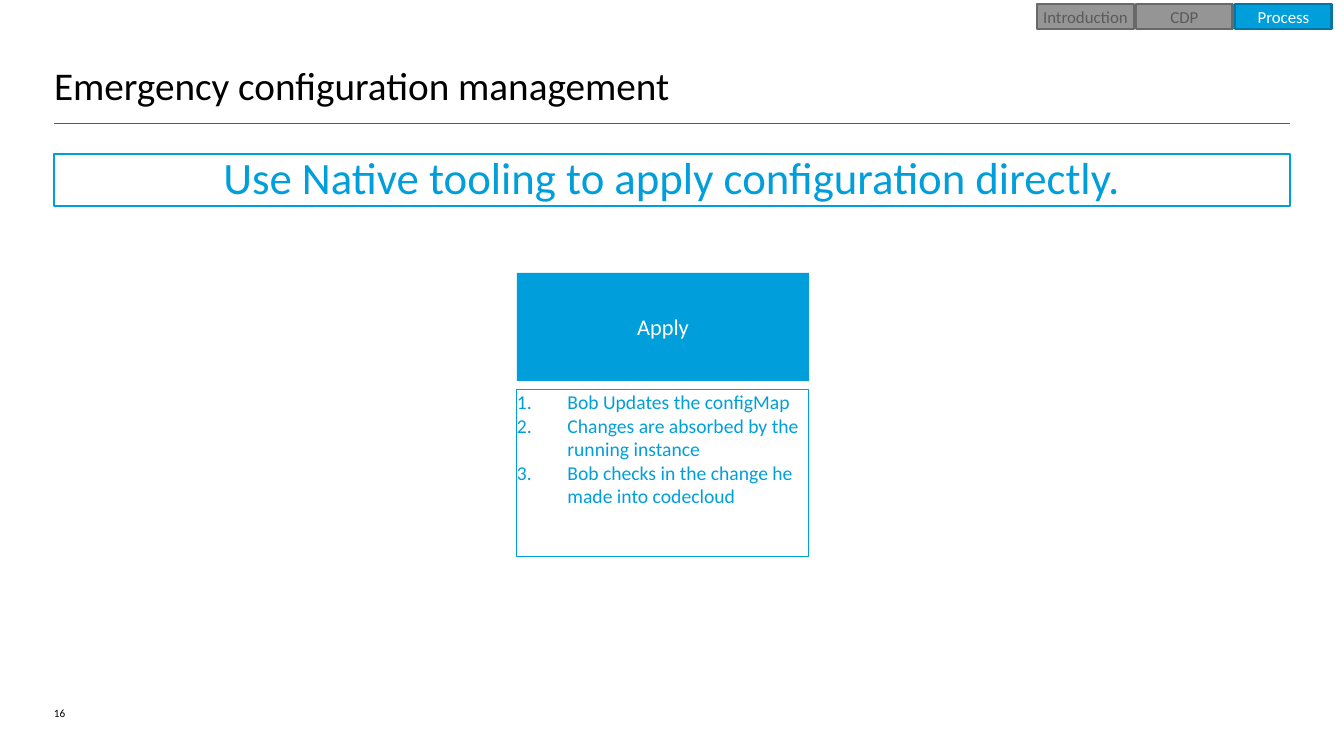
from lxml.etree import SubElement
from pptx import Presentation
from pptx.dml.color import RGBColor
from pptx.enum.shapes import MSO_CONNECTOR, MSO_SHAPE
from pptx.enum.text import MSO_ANCHOR, MSO_AUTO_SIZE, PP_ALIGN
from pptx.oxml.ns import qn
from pptx.util import Inches, Pt

PX = 914400 / 100.8
BLUE, GREY, WHITE, BLACK = "009FDB", "5A5A5A", "FFFFFF", "000000"

TITLE = "Emergency configuration management"
TABS = [
    ("Introduction", "959595", "696969", GREY),
    ("CDP", "959595", "696969", GREY),
    ("Process", BLUE, "0077A4", WHITE),
]
MESSAGE = "Use Native tooling to apply configuration directly."
STAGE = "Apply"
STEPS = [
    "Bob Updates the configMap",
    "Changes are absorbed by the running instance",
    "Bob checks in the change he made into codecloud",
]
PAGE = "16"

MARGIN, CONTENT_W = 54, 1236
TAB_X, TAB_Y, TAB_W, TAB_H, TAB_PITCH = 1037, 4, 97, 25, 99
STAGE_X, STAGE_W = 517, 292


def px(length):
    """Turn a length in px into EMU."""
    return round(length * PX)


def color(code):
    """Turn a hex string into a colour."""
    return RGBColor.from_string(code)


def write(holder, lines, size, ink, align=PP_ALIGN.LEFT, anchor=MSO_ANCHOR.TOP,
          spacing=None, after=None, numbered=False):
    """Fill a shape with formatted paragraphs."""
    frame = holder.text_frame
    frame.word_wrap = True
    frame.auto_size = MSO_AUTO_SIZE.NONE
    frame.vertical_anchor = anchor
    frame.margin_left = frame.margin_top = frame.margin_right = frame.margin_bottom = 0
    for index, line in enumerate(lines):
        paragraph = frame.paragraphs[0] if index == 0 else frame.add_paragraph()
        if numbered:
            props = paragraph._p.get_or_add_pPr()
            props.set("marL", str(Inches(0.5)))
            props.set("indent", str(-Inches(0.5)))
            SubElement(props, qn("a:buAutoNum"), type="arabicPeriod")
        paragraph.alignment = align
        paragraph.line_spacing = spacing
        paragraph.space_after = after
        run = paragraph.add_run()
        run.text = line
        run.font.name = "Calibri"
        run.font.size = Pt(size)
        run.font.color.rgb = color(ink)


def add_box(slide, bounds, fill=None, outline=None, weight=2):
    """Add a rectangle with optional fill and outline."""
    box = slide.shapes.add_shape(MSO_SHAPE.RECTANGLE, *map(px, bounds))
    box.shadow.inherit = False
    if fill:
        box.fill.solid()
        box.fill.fore_color.rgb = color(fill)
    else:
        box.fill.background()
    if outline:
        box.line.color.rgb = color(outline)
        box.line.width = Pt(weight)
    else:
        box.line.fill.background()
    return box


def main():
    """Build the slide and save it."""
    deck = Presentation()
    deck.slide_width, deck.slide_height = px(1344), px(756)
    slide = deck.slides.add_slide(deck.slide_layouts[5])
    centred = {"align": PP_ALIGN.CENTER, "anchor": MSO_ANCHOR.MIDDLE}

    rule = slide.shapes.add_connector(
        MSO_CONNECTOR.STRAIGHT, px(MARGIN), px(123), px(MARGIN + CONTENT_W), px(123))
    rule.line.color.rgb = color(GREY)
    rule.line.width = Pt(0.5)
    SubElement(rule._element.spPr, qn("a:effectLst"))

    page = slide.shapes.add_textbox(px(MARGIN), px(706), px(32), px(25))
    write(page, [PAGE], 8, BLACK, spacing=Pt(10))

    title = slide.shapes.title
    title.left, title.top, title.width, title.height = map(px, (MARGIN, 57, CONTENT_W, 37))
    write(title, [TITLE], 28, BLACK, spacing=1.1, after=Pt(10))

    for index, (label, fill, outline, ink) in enumerate(TABS):
        tab = add_box(slide, (TAB_X + index * TAB_PITCH, TAB_Y, TAB_W, TAB_H), fill, outline)
        write(tab, [label], 12, ink, **centred)

    stage = add_box(slide, (STAGE_X, 273, STAGE_W, 108), BLUE)
    write(stage, [STAGE], 16, WHITE, **centred)

    steps = add_box(slide, (STAGE_X, 390, STAGE_W, 167), outline=BLUE, weight=0.75)
    write(steps, STEPS, 14, BLUE, numbered=True)

    message = add_box(slide, (MARGIN, 154, CONTENT_W, 52), WHITE, BLUE)
    write(message, [MESSAGE], 32, BLUE, spacing=0.9, after=Pt(10), **centred)

    deck.save("out.pptx")


if __name__ == "__main__":
    main()
